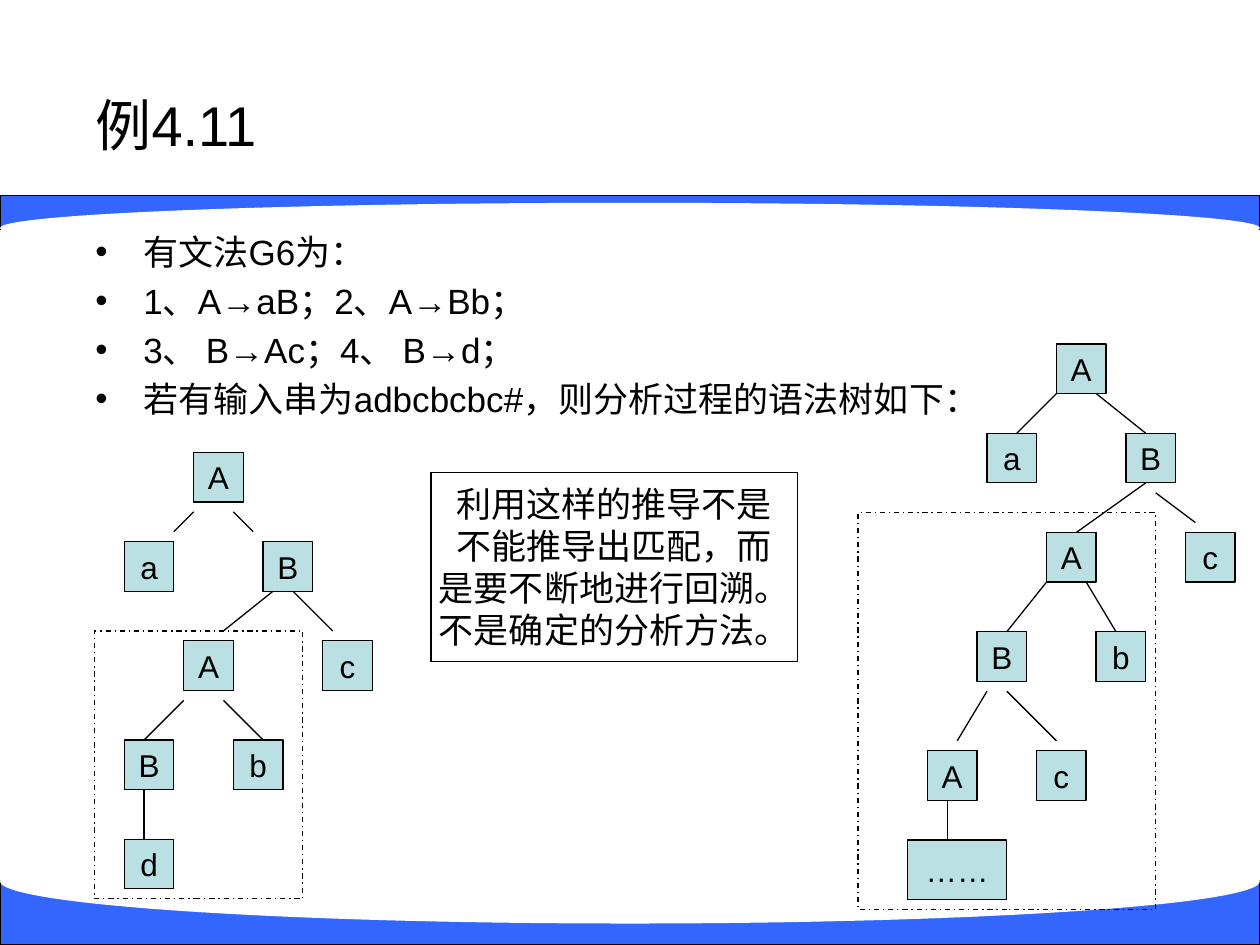
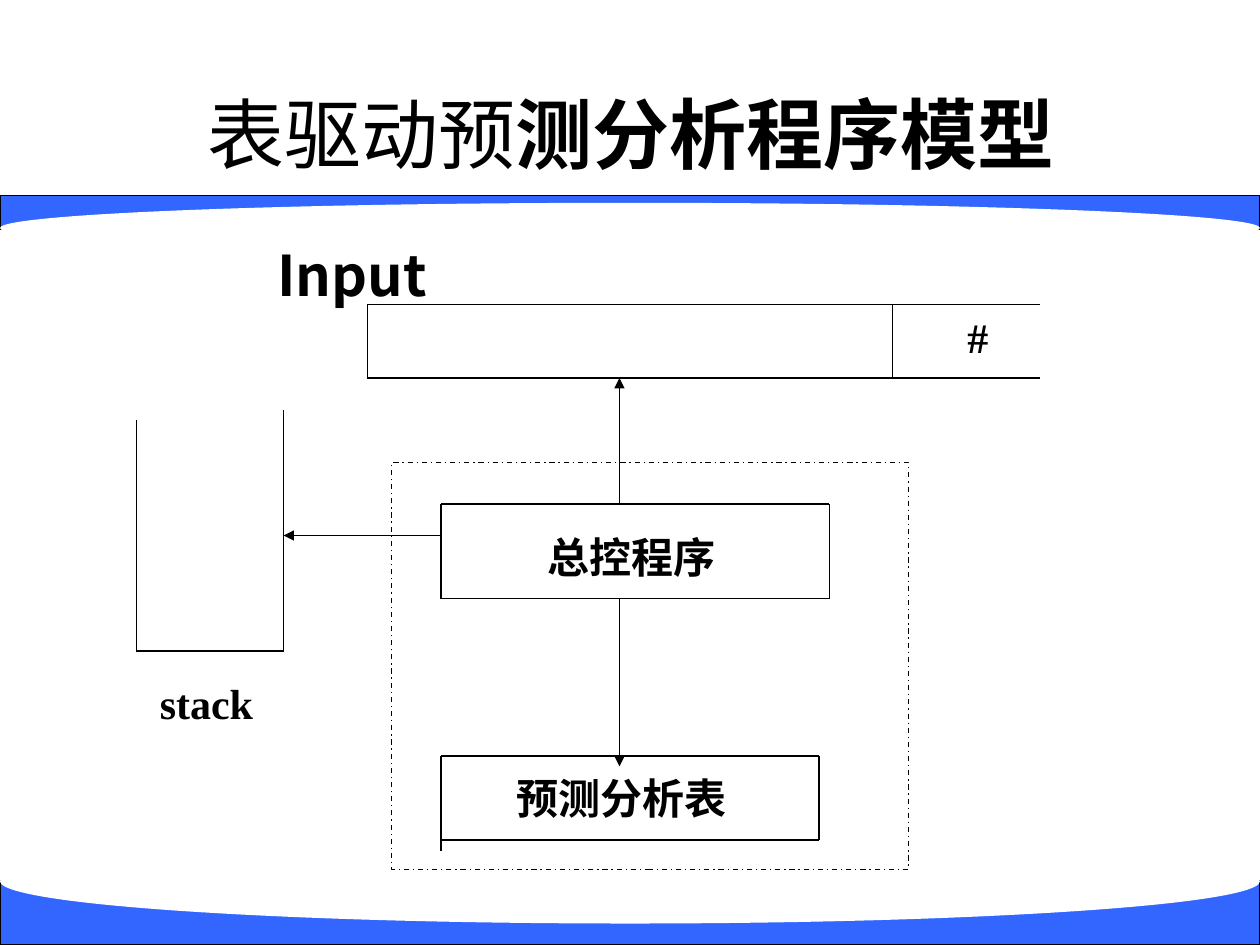
import lxml.etree
import pptx
import pptx.dml.color
import pptx.enum.dml
import pptx.enum.shapes
import pptx.enum.text
import pptx.oxml.ns
import pptx.util

BLUE = pptx.dml.color.RGBColor(0x33, 0x66, 0xFF)
NODE_BLUE = pptx.dml.color.RGBColor(0xBB, 0xE0, 0xE3)
BLACK = pptx.dml.color.RGBColor(0, 0, 0)
WHITE = pptx.dml.color.RGBColor(0xFF, 0xFF, 0xFF)

ARIAL, NOTO, TIMES = "Arial", "Noto Sans CJK SC", "Times New Roman"
WIDTH, HEIGHT = 10, 7.5
TREE_UNIT = 0.2 / 2.54  # trees stand on a 2 mm grid
MODEL_UNIT = WIDTH / 120  # the program model stands on a 120-column grid
NODE_SIZE = 5
LINE_WIDTH = pptx.util.Pt(0.75)
HANGING = 0.38

MSO_SHAPE = pptx.enum.shapes.MSO_SHAPE
ALIGN = pptx.enum.text.PP_ALIGN
ANCHOR = pptx.enum.text.MSO_ANCHOR
qn = pptx.oxml.ns.qn


def add_box(slide, left, top, width, height, fill=None, outlined=True,
            dashed=False, preset=MSO_SHAPE.RECTANGLE):
    shape = slide.shapes.add_shape(
        preset, *(pptx.util.Inches(value) for value in (left, top, width, height)))
    shape.shadow.inherit = False
    if fill is None:
        shape.fill.background()
    else:
        shape.fill.solid()
        shape.fill.fore_color.rgb = fill
    if outlined:
        shape.line.color.rgb = BLACK
        shape.line.width = LINE_WIDTH
    else:
        shape.line.fill.background()
    if dashed:
        shape.line.dash_style = pptx.enum.dml.MSO_LINE.DASH_DOT
    return shape


def write_text(shape, parts, align=ALIGN.LEFT, anchor=ANCHOR.MIDDLE, wrap=True):
    """Fill a shape with (text, size, font, bold) parts; newlines split paragraphs."""
    frame = shape.text_frame
    frame.word_wrap = wrap
    frame.vertical_anchor = anchor
    frame.text = parts[0][0]
    for text, *_ in parts[1:]:
        frame.paragraphs[-1].add_run().text = text
    for paragraph in frame.paragraphs:
        paragraph.alignment = align
        for run, (_, size, font, bold) in zip(paragraph.runs, parts):
            run.font.size = pptx.util.Pt(size)
            run.font.bold = bold
            run.font.color.rgb = BLACK
            run.font.name = font
            if font == NOTO:
                lxml.etree.SubElement(run._r.get_or_add_rPr(), qn("a:ea"), typeface=font)


presentation = pptx.Presentation()
presentation.slide_width = pptx.util.Inches(WIDTH)
presentation.slide_height = pptx.util.Inches(HEIGHT)
blank = presentation.slide_layouts[6]
tree_slide = presentation.slides.add_slide(blank)
model_slide = presentation.slides.add_slide(blank)

# Curved blue bands on both slides
for slide in (tree_slide, model_slide):
    for band_top, band_height, curve_top, curve_height in (
            (1.55, 0.27, 1.61, 0.4), (6.99, 0.51, 6.66, 0.67)):
        add_box(slide, 0, band_top, WIDTH, band_height, BLUE)
        add_box(slide, 0, curve_top, WIDTH, curve_height, WHITE, outlined=False,
                preset=MSO_SHAPE.OVAL)

# Titles, body text and labels
grammar = """有文法G6为：
1、A→aB；2、A→Bb；
3、 B→Ac；4、 B→d；
若有输入串为adbcbcbc#，则分析过程的语法树如下："""
title_parts = [("表驱动预", 44, ARIAL, False), ("测分析程序模型", 44, NOTO, True)]
text_boxes = (
    (tree_slide, 0.66, 0.68, 9.34, 0.61, [("例4.11", 32, ARIAL, False)],
     ALIGN.LEFT, ANCHOR.MIDDLE, True),
    (tree_slide, 0.66, 1.78, 7.57, 1.65, [(grammar, 20, ARIAL, False)],
     ALIGN.LEFT, ANCHOR.TOP, True),
    (model_slide, 0.51, 0.58, 9, 0.95, title_parts, ALIGN.CENTER, ANCHOR.MIDDLE, True),
    (model_slide, 2.1, 1.86, 7.41, 0.7, [("Input", 32, NOTO, True)],
     ALIGN.LEFT, ANCHOR.TOP, True),
    (model_slide, 7.58, 2.42, 0.37, 0.5, [("#", 24, TIMES, True)],
     ALIGN.LEFT, ANCHOR.TOP, False),
    (model_slide, 4.25, 4.17, 1.55, 0.5, [("总控程序", 24, NOTO, True)],
     ALIGN.LEFT, ANCHOR.TOP, False),
    (model_slide, 4, 6.08, 1.89, 0.5, [("预测分析表", 24, NOTO, True)],
     ALIGN.LEFT, ANCHOR.TOP, False),
    (model_slide, 1.17, 5.33, 0.94, 0.5, [("stack", 24, TIMES, True)],
     ALIGN.LEFT, ANCHOR.TOP, False),
)
for slide, left, top, width, height, parts, align, anchor, wrap in text_boxes:
    text_box = slide.shapes.add_textbox(
        *(pptx.util.Inches(value) for value in (left, top, width, height)))
    write_text(text_box, parts, align, anchor, wrap)
    if parts[0][0] == grammar:
        for index, paragraph in enumerate(text_box.text_frame.paragraphs):
            properties = paragraph._p.get_or_add_pPr()
            properties.set("marL", str(pptx.util.Inches(HANGING)))
            properties.set("indent", str(-pptx.util.Inches(HANGING)))
            lxml.etree.SubElement(properties, qn("a:buFont"), typeface=ARIAL)
            lxml.etree.SubElement(properties, qn("a:buChar"), char="•")
            if index:
                paragraph.space_before = pptx.util.Pt(4)

note = add_box(tree_slide, 3.42, 3.75, 2.91, 1.5)
note_text = """利用这样的推导不是
不能推导出匹配，而
是要不断地进行回溯。
不是确定的分析方法。"""
write_text(note, [(note_text, 20, ARIAL, False)], ALIGN.CENTER, wrap=False)

# Syntax trees: origin, dashed frame, nodes and branches in tree units
left_tree = {
    "origin": (0.75, 3.59),
    "frame": (0, 18, 21, 27),
    "nodes": (("A", 10, 0), ("a", 3, 9), ("B", 17, 9), ("A", 9, 19), ("c", 23, 19),
              ("B", 3, 29), ("b", 14, 29), ("d", 3, 39)),
    "branches": ((5, 34, 5, 39), (9, 25, 5, 29), (13, 25, 17, 29), (10, 6, 8, 8),
                 (14, 6, 16, 8), (18, 14, 13, 18), (20, 14, 24, 18)),
}
right_tree = {
    "origin": (6.81, 2.73),
    "frame": (0, 17, 30, 40),
    "nodes": (("A", 20, 0), ("a", 13, 9), ("B", 27, 9), ("A", 19, 19), ("c", 33, 19),
              ("B", 12, 29), ("b", 24, 29), ("A", 7, 41), ("c", 18, 41), ("……", 5, 50)),
    "branches": ((20, 5, 16, 9), (24, 5, 29, 9), (29, 14, 22, 19), (30, 15, 34, 18),
                 (19, 24, 15, 29), (23, 24, 26, 29), (13, 35, 10, 40),
                 (15, 35, 20, 40), (9, 46, 9, 50)),
}
for tree in (left_tree, right_tree):
    origin_left, origin_top = tree["origin"]
    for label, column, row in tree["nodes"]:
        columns, rows = (10, 6) if label == "……" else (NODE_SIZE, NODE_SIZE)
        node = add_box(tree_slide, origin_left + column * TREE_UNIT,
                       origin_top + row * TREE_UNIT, columns * TREE_UNIT,
                       rows * TREE_UNIT, NODE_BLUE)
        write_text(node, [(label, 18, ARIAL, False)], ALIGN.CENTER, wrap=False)
    column, row, columns, rows = tree["frame"]
    add_box(tree_slide, origin_left + column * TREE_UNIT, origin_top + row * TREE_UNIT,
            columns * TREE_UNIT, rows * TREE_UNIT, dashed=True)

add_box(model_slide, 3.11, 3.67, 4.1, 3.23, dashed=True)

# Program model lines in model units
stack_lines = ((13, 40, 13, 62), (13, 62, 27, 62), (27, 62, 27, 39))
input_lines = ((35, 29, 99, 29), (85, 29, 85, 36), (85, 36, 35, 36),
               (85, 36, 99, 36), (35, 29, 35, 36))
control_lines = ((42, 48, 79, 48), (79, 48, 79, 57), (79, 57, 42, 57), (42, 48, 42, 57))
table_lines = ((42, 72, 78, 72), (78, 72, 78, 80), (42, 72, 42, 81), (42, 80, 78, 80))
model_lines = stack_lines + input_lines + control_lines + table_lines
model_arrows = ((59, 48, 59, 36), (42, 51, 27, 51), (59, 57, 59, 73))

line_groups = (
    (tree_slide, left_tree["origin"], TREE_UNIT, left_tree["branches"], False),
    (tree_slide, right_tree["origin"], TREE_UNIT, right_tree["branches"], False),
    (model_slide, (0, 0), MODEL_UNIT, model_lines, False),
    (model_slide, (0, 0), MODEL_UNIT, model_arrows, True),
)
for slide, (origin_left, origin_top), unit, segments, arrow in line_groups:
    for start_column, start_row, end_column, end_row in segments:
        connector = slide.shapes.add_connector(
            pptx.enum.shapes.MSO_CONNECTOR.STRAIGHT,
            pptx.util.Inches(origin_left + start_column * unit),
            pptx.util.Inches(origin_top + start_row * unit),
            pptx.util.Inches(origin_left + end_column * unit),
            pptx.util.Inches(origin_top + end_row * unit))
        connector.line.color.rgb = BLACK
        connector.line.width = LINE_WIDTH
        if arrow:
            lxml.etree.SubElement(connector.line._get_or_add_ln(), qn("a:tailEnd"),
                                  type="triangle", w="med", len="med")
        lxml.etree.SubElement(connector._element.spPr, qn("a:effectLst"))

presentation.save("out.pptx")
